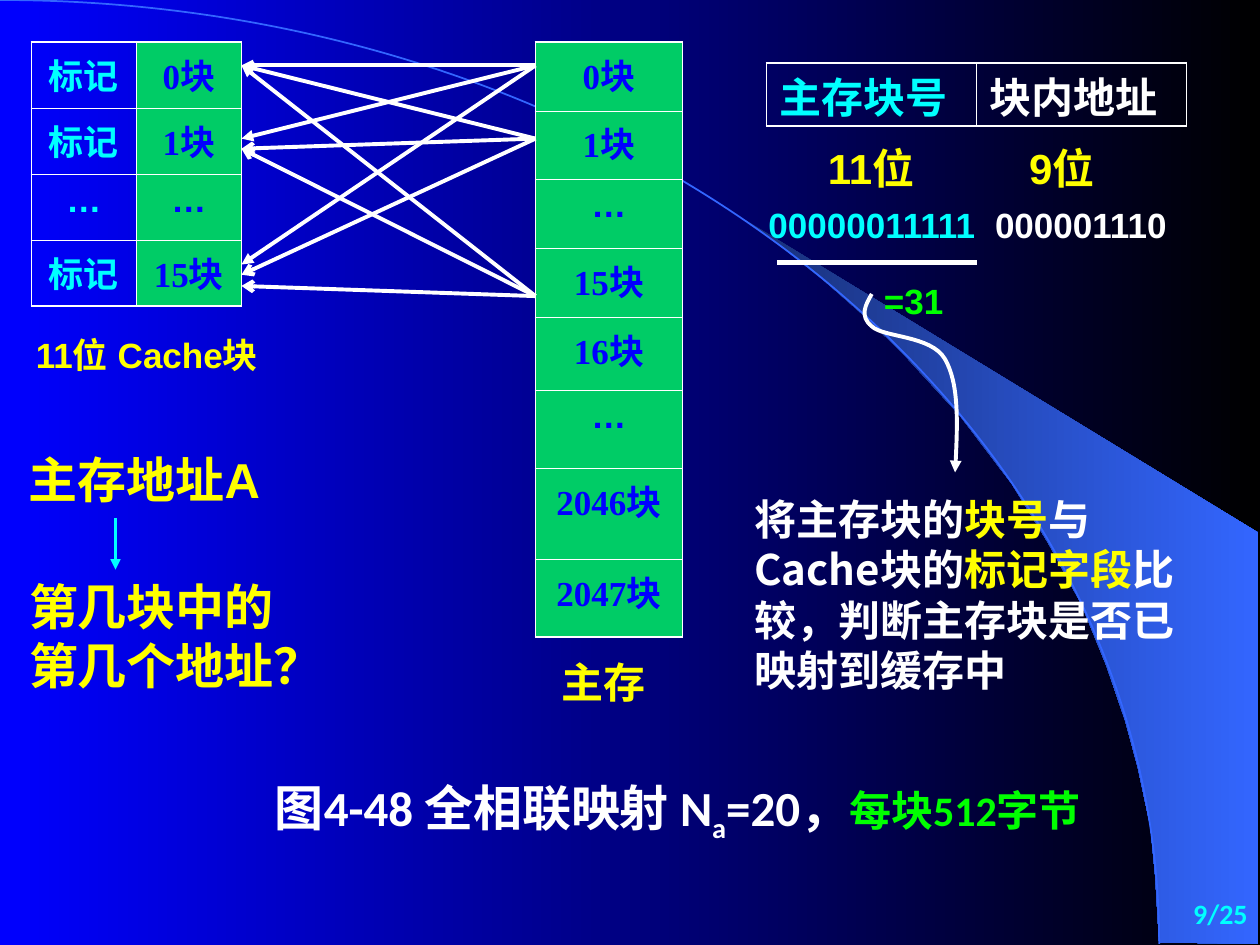
from lxml import etree
from pptx import Presentation
from pptx.dml.color import RGBColor
from pptx.enum.shapes import MSO_CONNECTOR
from pptx.enum.text import MSO_ANCHOR, PP_ALIGN
from pptx.oxml import parse_xml
from pptx.oxml.ns import nsdecls, qn
from pptx.util import Pt

WHITE, YELLOW, CYAN = "FFFFFF", "FFFF00", "00FFFF"
BLUE, GREEN, LIME = "0000FF", "00CC66", "00FF00"
TIMES, ARIAL, CALIBRI, NOTO = "Times New Roman", "Arial", "Calibri", "Noto Sans CJK SC"
LEFT, CENTER, RIGHT = PP_ALIGN.LEFT, PP_ALIGN.CENTER, PP_ALIGN.RIGHT
rgb = RGBColor.from_string


def add_run(p, text, size, font, color):
    r = p.add_run()
    r.text = text
    r.font.size, r.font.bold, r.font.name = Pt(size), True, font
    r.font.color.rgb = rgb(color)
    etree.SubElement(r.font._element, qn("a:ea"),
                     typeface=ARIAL if font == ARIAL else NOTO)
    return r


def style_line(sp, color, width, head=None):
    sp.line.color.rgb = rgb(color)
    sp.line.width = Pt(width)
    if head:
        etree.SubElement(sp.line._get_or_add_ln(), qn("a:tailEnd"), type=head)


prs = Presentation()
prs.slide_width, prs.slide_height = Pt(720), Pt(540)
s = prs.slides.add_slide(prs.slide_layouts[6])

# Background gradient
fill = s.background.fill
fill.gradient()
fill.gradient_angle = 0
for stop, color in zip(fill.gradient_stops, (BLUE, "000000")):
    stop.color.rgb = rgb(color)

# Shaded wedge on the right
wedge = [(662.4, 538.6), (719.3, 539.3), (719.3, 304.6), (424.1, 124.6),
         (449.3, 143.3), (470.2, 159.8), (493.2, 180), (515.5, 201.6),
         (548.6, 237.6), (578.2, 276.5), (599, 310.3), (617.8, 344.9),
         (632.2, 380.2), (643, 411.8), (650.2, 438.5), (657.4, 472.3),
         (660.2, 501.1)]
points = [(Pt(x), Pt(y)) for x, y in wedge]
builder = s.shapes.build_freeform(*points[0], scale=1.0)
builder.add_line_segments(points[1:], close=True)
sp = builder.convert_to_shape()
sp.shadow.inherit = False
sp.line.fill.background()
sp.fill.gradient()
sp.fill.gradient_angle = 0
for stop, color in zip(sp.fill.gradient_stops, ("182F76", "3366FF")):
    stop.color.rgb = rgb(color)

# Curves: the background arc and the arrow to the explanation
arc = [(0, 0), (365.8, 0), (662.4, 241.2), (662.4, 539.3)]
swoop = [(498.2, 168), (494.6, 174.2), (491, 180.7), (498.2, 186.5),
         (504.7, 193), (532.1, 191.5), (540, 205.2),
         (547.9, 218.9), (547.2, 244.8), (545.8, 270)]
for nodes, color, width, head in [(arc, "3366FF", 1, None),
                                  (swoop, WHITE, 2.25, "triangle")]:
    points = [(Pt(x), Pt(y)) for x, y in nodes]
    builder = s.shapes.build_freeform(*points[0], scale=1.0)
    builder.add_line_segments(points[1:], close=False)
    sp = builder.convert_to_shape()
    # Every three nodes after the first form one Bezier segment
    segments = list(sp._element.iter(qn("a:lnTo")))
    for i in range(0, len(segments), 3):
        curve = etree.Element(qn("a:cubicBezTo"))
        segments[i].addprevious(curve)
        for segment in segments[i:i + 3]:
            curve.append(segment[0])
            segment.getparent().remove(segment)
    sp.shadow.inherit = False
    sp.fill.background()
    style_line(sp, color, width, head)

# Tables: left, top, column widths, row heights, size, alignment, top margin,
# rows of cells; a cell is text, font, text colour, fill
tag = ("标记", TIMES, CYAN, None)
dots = ("…", ARIAL, BLUE, GREEN)
cache = [[tag, ("0块", TIMES, BLUE, GREEN)],
         [tag, ("1块", TIMES, BLUE, GREEN)],
         [("…", ARIAL, CYAN, None), dots],
         [tag, ("15块", TIMES, BLUE, GREEN)]]
memory = [[dots if name == "…" else (name, TIMES, BLUE, GREEN)]
          for name in ("0块", "1块", "…", "15块", "16块", "…", "2046块", "2047块")]
address = [[("主存块号", TIMES, CYAN, None), ("块内地址", TIMES, WHITE, None)]]
tables = [
    (18, 24, [60] * 2, [37.75] * 4, 20, CENTER, 3.6, cache),
    (306, 24, [84], [39.4] * 4 + [41.6, 44.6, 52, 44.4], 20, CENTER, 3.6, memory),
    (438, 36, [120] * 2, [36], 24, LEFT, 1.2, address),
]
for left, top, widths, heights, size, align, margin, rows in tables:
    frame = s.shapes.add_table(len(rows), len(widths), Pt(left), Pt(top),
                               Pt(sum(widths)), Pt(sum(heights)))
    table = frame.table
    table.first_row = table.horz_banding = False
    for column, width in zip(table.columns, widths):
        column.width = Pt(width)
    for i, row in enumerate(rows):
        table.rows[i].height = Pt(heights[i])
        for j, (text, font, color, cell_fill) in enumerate(row):
            cell = table.cell(i, j)
            cell.margin_top, cell.margin_bottom = Pt(margin), 0
            # Thick outer and thin inner borders
            outer = {"L": j == 0, "R": j == len(row) - 1,
                     "T": i == 0, "B": i == len(rows) - 1}
            for side, thick in outer.items():
                cell._tc.get_or_add_tcPr().append(parse_xml(
                    f'<a:ln{side} {nsdecls("a")} w="{Pt(1.08 if thick else 0.45)}">'
                    f'<a:solidFill><a:srgbClr val="{WHITE}"/></a:solidFill></a:ln{side}>'))
            if cell_fill:
                cell.fill.solid()
                cell.fill.fore_color.rgb = rgb(cell_fill)
            else:
                cell.fill.background()
            p = cell.text_frame.paragraphs[0]
            p.alignment = align
            add_run(p, text, size, font, color)

# Lines: x1, y1, x2, y2, colour, width, arrowhead
lines = [(444, 150, 558, 150, WHITE, 3, None),
         (66, 296, 66, 325.5, CYAN, 1.5, "triangle")]
# Every memory block can map to every cache block
mapping = [(37.4, (37.4, 79.2, 151.2), ("triangle",) * 3),
           (169.2, (37.4, 85, 163.4), ("triangle", "arrow", "arrow")),
           (79.2, (37.4, 85, 157), ("arrow",) * 3)]
for y1, ends, heads in mapping:
    lines += [(306, y1, 138, y2, WHITE, 2.25, head) for y2, head in zip(ends, heads)]
for x1, y1, x2, y2, color, width, head in lines:
    sp = s.shapes.add_connector(MSO_CONNECTOR.STRAIGHT, Pt(x1), Pt(y1), Pt(x2), Pt(y2))
    style_line(sp, color, width, head)
    etree.SubElement(sp._element.spPr, qn("a:effectLst"))

# Text boxes: left, top, width, height, size, font, alignment, tab stop,
# paragraphs of runs (text, colour)
boxes = [
    (12, 187, 144, 55.5, 20, ARIAL, CENTER, None, [[("11位 Cache块", YELLOW)]]),
    (294, 371.5, 102, 36, 24, NOTO, CENTER, None, [[("主存", YELLOW)]]),
    (466, 78, 188, 36, 24, ARIAL, LEFT, 115, [[("11位\t9位", YELLOW)]]),
    (432, 112.5, 264, 31.5, 20, ARIAL, LEFT, 129.5,
     [[("00000011111", CYAN), ("\t000001110", WHITE)]]),
    (498, 156, 66, 31.5, 20, ARIAL, LEFT, None, [[("=31", LIME)]]),
    (424, 278.5, 276, 122.5, 24, NOTO, LEFT, None,
     [[("将主存块的", WHITE), ("块号", YELLOW), ("与Cache块的", WHITE),
       ("标记字段", YELLOW), ("比较，判断主存块是否已映射到缓存中", WHITE)]]),
    (9.5, 253.5, 158, 41, 28, ARIAL, LEFT, None, [[("主存地址A", YELLOW)]]),
    (9.5, 326, 248, 75, 28, ARIAL, LEFT, None,
     [[("第几块中的", YELLOW)], [("第几个地址？", YELLOW)]]),
    (150, 440.5, 498, 74, 28, CALIBRI, LEFT, None,
     [[("图4-48 全相联映射 N", WHITE), ("a", WHITE), ("=20，", WHITE),
       ("每块512字节", LIME)]]),
    (570, 504, 150, 36, 16, CALIBRI, RIGHT, None, [[("9/25", CYAN)]]),
]
for left, top, width, height, size, font, align, tab, paragraphs in boxes:
    tf = s.shapes.add_textbox(Pt(left), Pt(top), Pt(width), Pt(height)).text_frame
    tf.word_wrap = True
    if align == RIGHT:
        tf.vertical_anchor = MSO_ANCHOR.MIDDLE
    for k, runs in enumerate(paragraphs):
        p = tf.add_paragraph() if k else tf.paragraphs[0]
        p.alignment = align
        if font != CALIBRI:
            p.line_spacing = Pt(round(size * 1.2, 1))
        if tab:
            p._p.get_or_add_pPr().append(parse_xml(
                f'<a:tabLst {nsdecls("a")}><a:tab pos="{Pt(tab)}" algn="l"/></a:tabLst>'))
        for text, color in runs:
            r = add_run(p, text, 24 if text == "每块512字节" else size, font, color)
            if text == "a":
                r.font._element.set("baseline", "-25000")

prs.save("out.pptx")
